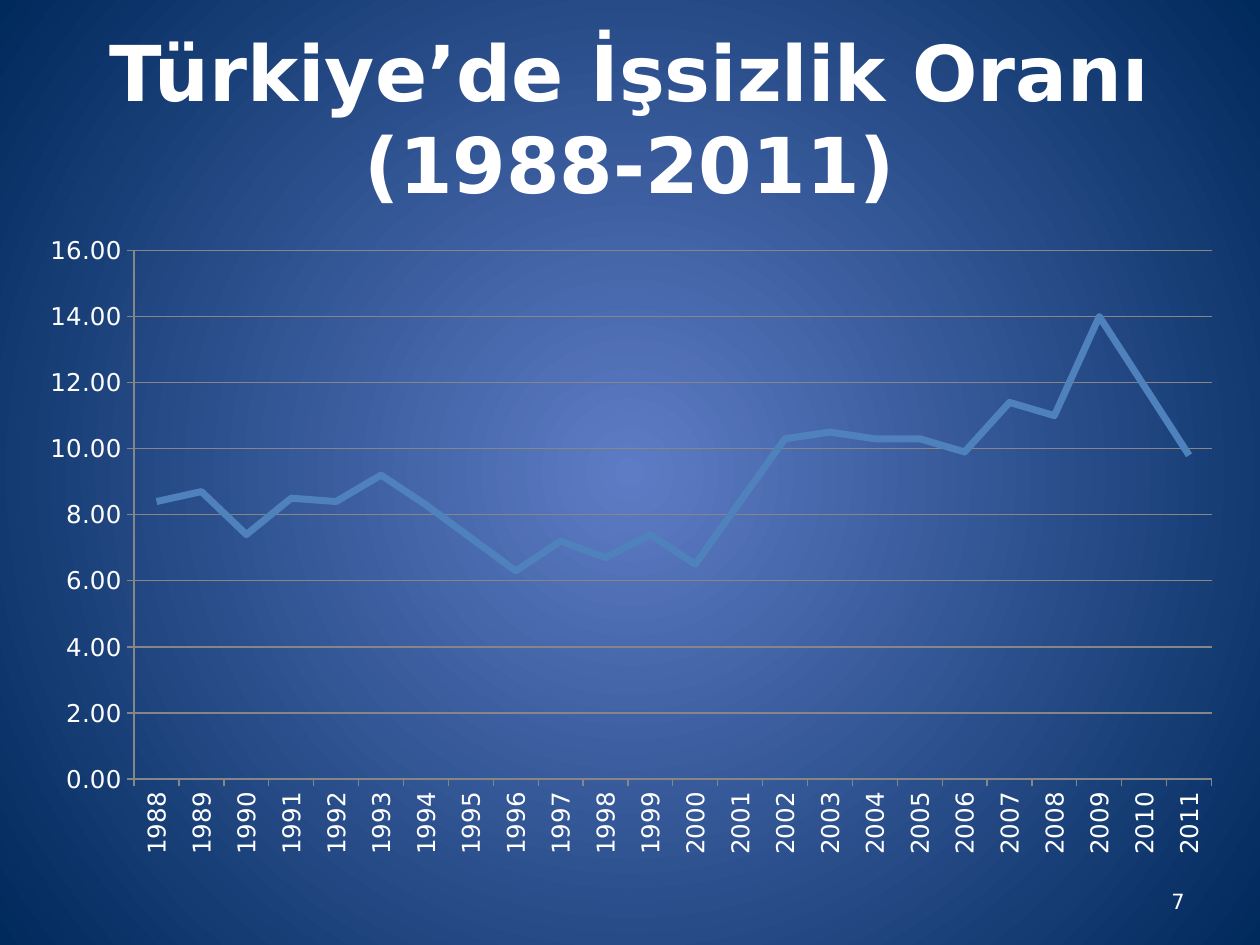
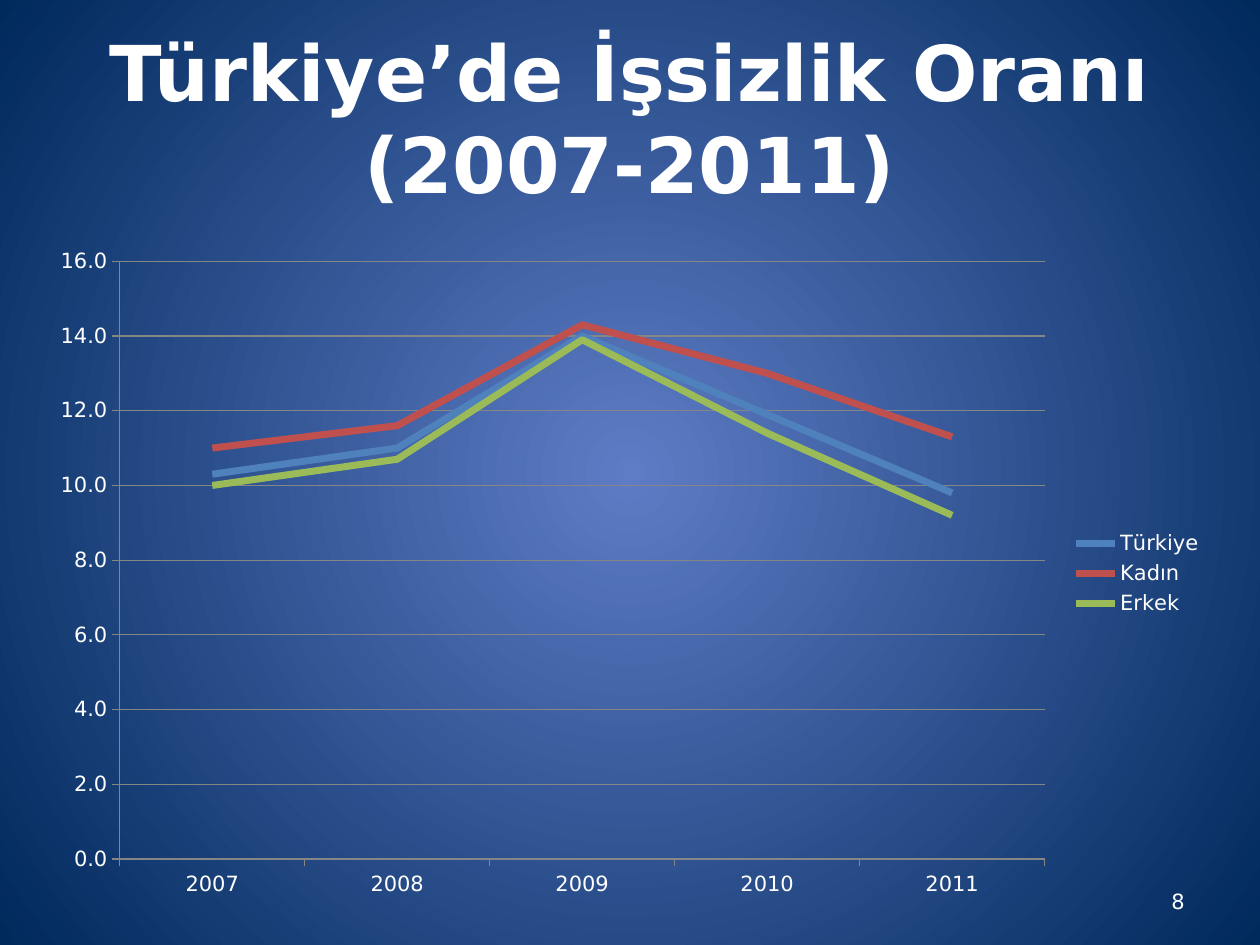
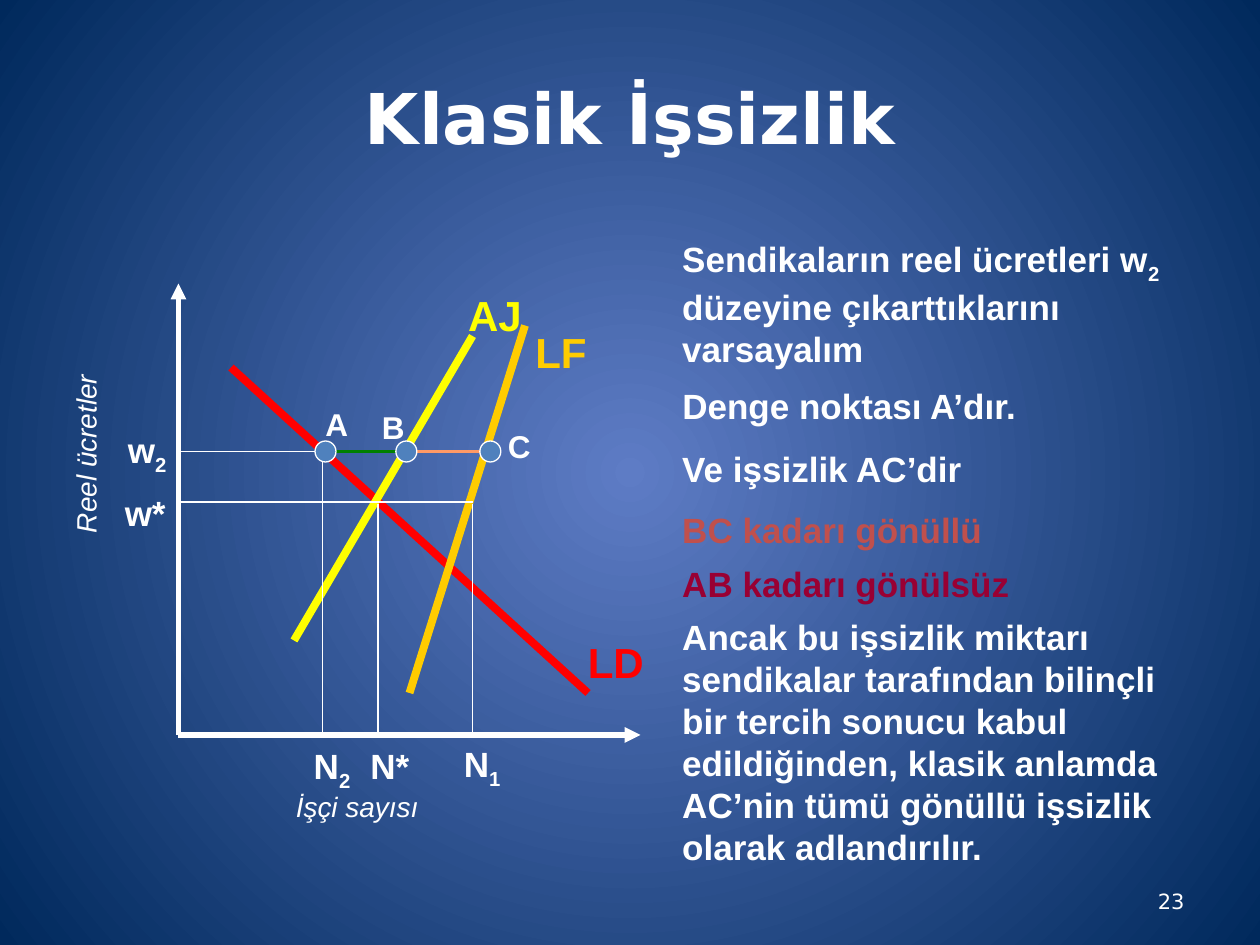
from lxml import etree
from pptx import Presentation
from pptx import util as u
from pptx.chart.data import CategoryChartData
from pptx.dml.color import RGBColor
from pptx.enum import chart as charts, shapes, text
from pptx.oxml.ns import qn

COLORS = {
    "centre": "5E7CC5", "edge": "00295C", "white": "FFFFFF", "axis": "868686",
    "blue": "4F81BD", "brick": "C0504D", "olive": "9BBB59",
    "demand": "FF0000", "force": "FFCC00", "accepted": "FFFF00",
    "involuntary": "008000", "voluntary": "FF9966", "maroon": "990033",
}
HEADING_FONT, BODY_FONT = "DejaVu Sans", "Arial"
COLUMNS, ROWS = 120, 90  # grid of the slide
WIDTH, HEIGHT = u.Inches(10), u.Inches(7.5)
TITLE_BOX = (6, 3.6, 108, 15)
NUMBER_BOX = (86, 83.4, 28, 4.8)


def color(name):
    return RGBColor.from_string(COLORS[name])


def across(columns):
    return round(WIDTH * columns / COLUMNS)


def down(rows):
    return round(HEIGHT * rows / ROWS)


def place(box):
    left, top, width, height = box
    return across(left), down(top), across(width), down(height)


def paint_background(master):
    fill = master.background.fill
    fill.gradient()
    for stop, name in zip(fill.gradient_stops, ("centre", "edge")):
        stop.color.rgb = color(name)
    gradient = next(master.element.iter(qn("a:gradFill")))
    gradient.remove(gradient.find(qn("a:lin")))
    circle = etree.SubElement(gradient, qn("a:path"), {"path": "circle"})
    etree.SubElement(circle, qn("a:fillToRect"), dict.fromkeys("ltrb", "50000"))


def add_run(paragraph, words, size, name="white", font=BODY_FONT,
            bold=True, italic=False):
    run = paragraph.add_run()
    run.text = words
    run.font.size, run.font.name = u.Pt(size), font
    run.font.bold, run.font.italic = bold, italic
    run.font.color.rgb = color(name)
    return run


def add_heading_text(slide, box, lines, size, align, bold):
    """Middle-anchored text in the heading font, used by title and number."""
    frame = slide.shapes.add_textbox(*place(box)).text_frame
    frame.word_wrap = True
    frame.vertical_anchor = text.MSO_ANCHOR.MIDDLE
    paragraph = frame.paragraphs[0]
    paragraph.alignment = align
    for index, line in enumerate(lines):
        if index:
            paragraph.add_line_break()
        add_run(paragraph, line, size, font=HEADING_FONT, bold=bold)


def add_slide(presentation, title, title_size, number):
    slide = presentation.slides.add_slide(presentation.slide_layouts[6])
    add_heading_text(slide, TITLE_BOX, title, title_size, text.PP_ALIGN.CENTER, True)
    add_heading_text(slide, NUMBER_BOX, [str(number)], 12, text.PP_ALIGN.RIGHT, False)
    return slide


def add_label(slide, box, lines, size=20, name="white", wrap=False, italic=False):
    """Text box whose lines may hold a subscript after an underscore."""
    shape = slide.shapes.add_textbox(*place(box))
    frame = shape.text_frame
    frame.word_wrap = wrap
    frame.auto_size = text.MSO_AUTO_SIZE.SHAPE_TO_FIT_TEXT
    for index, line in enumerate(lines):
        paragraph = frame.add_paragraph() if index else frame.paragraphs[0]
        base, _, subscript = line.partition("_")
        add_run(paragraph, base, size, name, bold=not italic, italic=italic)
        if subscript:
            run = add_run(paragraph, subscript, size, name)
            run.font._element.set("baseline", "-25000")
    return shape


def set_layout(holder, index, settings):
    """Fix a chart part's place; index is where its layout element belongs."""
    layout = holder.find(qn("c:layout"))
    if layout is None:
        layout = etree.Element(qn("c:layout"))
        holder.insert(index, layout)
    manual = etree.SubElement(layout, qn("c:manualLayout"))
    for tag, value in settings.items():
        etree.SubElement(manual, qn(f"c:{tag}"), val=str(value))


def add_rate_chart(slide, box, years, series, size, number_format, plot_shares,
                   upright_years=False):
    data = CategoryChartData()
    data.categories = [str(year) for year in years]
    for series_name, _, values in series:
        data.add_series(series_name, values)
    chart = slide.shapes.add_chart(
        charts.XL_CHART_TYPE.LINE, *place(box), data).chart
    chart.has_title = False
    chart.font.size, chart.font.name = u.Pt(size), HEADING_FONT
    chart.font.color.rgb = color("white")
    chart.plots[0].vary_by_categories = False
    for line, (_, name, _) in zip(chart.plots[0].series, series):
        line.smooth = False
        line.marker.style = charts.XL_MARKER_STYLE.NONE
        line.format.line.width = u.Pt(4)
        line.format.line.color.rgb = color(name)

    value_axis, year_axis = chart.value_axis, chart.category_axis
    value_axis.minimum_scale, value_axis.maximum_scale = 0, 16
    value_axis.major_unit = 2
    value_axis.tick_labels.number_format = number_format
    value_axis.tick_labels.number_format_is_linked = False
    value_axis.has_major_gridlines = True
    for part in (value_axis, year_axis, value_axis.major_gridlines):
        part.format.line.width = u.Pt(0.75)
        part.format.line.color.rgb = color("axis")
    for axis in (value_axis, year_axis):
        axis.major_tick_mark = charts.XL_TICK_MARK.OUTSIDE
    if upright_years:
        year_axis.tick_labels.font.size = u.Pt(size)
        year_axis.tick_labels.font.color.rgb = color("white")
        body = next(year_axis._element.iter(qn("a:bodyPr")))
        body.set("rot", "-5400000")
        body.set("vert", "horz")

    edges = {"xMode": "edge", "yMode": "edge"}
    set_layout(chart.element.chart.plotArea, 0,
               {"layoutTarget": "inner", **edges, **dict(zip("xywh", plot_shares))})
    chart.has_legend = len(series) > 1
    if chart.has_legend:
        chart.legend.position = charts.XL_LEGEND_POSITION.RIGHT
        chart.legend.include_in_layout = False
        set_layout(next(chart.element.iter(qn("c:legend"))), 1,
                   {**edges, "x": 0.86, "y": 0.43})


def add_line(slide, start, end, name="white", width=0.75, arrow=False):
    connector = slide.shapes.add_connector(
        shapes.MSO_CONNECTOR.STRAIGHT,
        across(start[0]), down(start[1]), across(end[0]), down(end[1]))
    connector.line.width = u.Pt(width)
    connector.line.color.rgb = color(name)
    properties = connector.element.spPr
    if arrow:
        etree.SubElement(properties.find(qn("a:ln")), qn("a:tailEnd"), type="triangle")
    etree.SubElement(properties, qn("a:effectLst"))


def add_dot(slide, centre, diameter=2):
    x, y = centre
    dot = slide.shapes.add_shape(
        shapes.MSO_SHAPE.OVAL,
        *place((x - diameter / 2, y - diameter / 2, diameter, diameter)))
    dot.shadow.inherit = False
    dot.fill.solid()
    dot.fill.fore_color.rgb = color("blue")
    dot.line.width = u.Pt(0.75)
    dot.line.color.rgb = color("white")


def add_labour_market(slide, box):
    """Wage and employment diagram; box spans the two axes."""
    left, top, width, height = box
    union_wage, market_wage = 16, 20.8

    def point(x, y):
        return left + x, top + y

    def line(start, end, *style, **options):
        add_line(slide, point(*start), point(*end), *style, **options)

    line((0, union_wage), (30, union_wage))
    for end in ((width, height), (0, 0)):
        line((0, height), end, "white", 3, arrow=True)
    curves = [((5, 8), (39, 39), "demand"),
              ((22, 39), (33, 4), "force"),
              ((11, 34), (28, 5), "accepted")]
    for start, end, name in curves:
        line(start, end, name, 4.5)
    line((0, market_wage), (28, market_wage))
    for employment, wage in ((19, 21), (28, 21), (13.7, union_wage)):
        line((employment, wage), (employment, height))
    line((14, union_wage), (22, union_wage), "involuntary", 2.25)
    line((22, union_wage), (30, union_wage), "voluntary", 2.25)
    for x in (14, 21.7, 29.7):
        add_dot(slide, point(x, union_wage))

    labels = [
        ("w_2", -6, 13.2, 6.5, 20, "white"), ("w*", -6.3, 19.2, 6.8, 20, "white"),
        ("N_2", 11.7, 43.3, 6.2, 20, "white"), ("N*", 17.1, 43.3, 6.4, 20, "white"),
        ("N_1", 26, 43.1, 6.2, 20, "white"),
        ("A", 12.8, 11, 4.8, 18, "white"), ("B", 18.2, 11.3, 4.8, 18, "white"),
        ("C", 30.2, 13.1, 4.8, 18, "white"),
        ("LD", 37.8, 33, 8, 24, "demand"), ("LF", 32.8, 3.5, 7.5, 24, "force"),
        ("AJ", 26.4, 0, 7.8, 24, "accepted"),
    ]
    for words, x, y, label_width, size, name in labels:
        label_box = (*point(x, y), label_width, 0.2 * size + 1.2)
        add_label(slide, label_box, [words], size, name)
    add_label(slide, (*point(10, 47.6), 14.2, 4.4), ["İşçi sayısı"], 16, italic=True)
    wage_title = add_label(slide, (*point(-17.6, 14), 17.5, 4.4),
                           ["Reel ücretler"], 16, italic=True)
    wage_title.rotation = 270


def add_explanation(slide, box):
    left, top, width, _ = box
    notes = [
        (0, width, "white",
         ["Sendikaların reel ücretleri w_2", "düzeyine çıkarttıklarını varsayalım"]),
        (14, 34.7, "white", ["Denge noktası A’dır."]),
        (20, 29.3, "white", ["Ve işsizlik AC’dir"]),
        (25.8, 31, "brick", ["BC kadarı gönüllü"]),
        (31, 33.6, "maroon", ["AB kadarı gönülsüz"]),
        (36, 48.2, "white",
         ["Ancak bu işsizlik miktarı", "sendikalar tarafından bilinçli",
          "bir tercih sonucu kabul", "edildiğinden, klasik anlamda",
          "AC’nin tümü gönüllü işsizlik", "olarak adlandırılır."]),
    ]
    for y, note_width, name, lines in notes:
        note_box = (left, top + y, note_width, 4 * len(lines) + 1.2)
        add_label(slide, note_box, lines, name=name, wrap=note_width == width)


def main():
    presentation = Presentation()
    presentation.slide_width, presentation.slide_height = WIDTH, HEIGHT
    paint_background(presentation.slide_master)

    heading = "Türkiye’de İşsizlik Oranı"
    slide = add_slide(presentation, [heading, "(1988-2011)"], 44, 7)
    rates = [8.4, 8.7, 7.4, 8.5, 8.4, 9.2, 8.3, 7.3, 6.3, 7.2, 6.7, 7.4,
             6.5, 8.4, 10.3, 10.5, 10.3, 10.3, 9.9, 11.4, 11, 14, 11.9, 9.8]
    add_rate_chart(slide, (2.4, 21.4, 115.3, 61.4), range(1988, 2012),
                   [("Series 1", "blue", rates)], 14, "0.00",
                   (0.09, 0.04, 0.89, 0.82), upright_years=True)

    slide = add_slide(presentation, [heading, "(2007-2011)"], 44, 8)
    by_sex = [("Türkiye", "blue", [10.3, 11, 14, 11.9, 9.8]),
              ("Kadın", "brick", [11, 11.6, 14.3, 13, 11.3]),
              ("Erkek", "olive", [10, 10.7, 13.9, 11.4, 9.2])]
    add_rate_chart(slide, (3.4, 22.3, 114.4, 64.7), range(2007, 2012),
                   by_sex, 12, "0.0", (0.07, 0.04, 0.77, 0.88))

    slide = add_slide(presentation, ["Klasik İşsizlik"], 40, 23)
    add_labour_market(slide, (17, 27, 44, 43))
    add_explanation(slide, (63.8, 22, 54, 61))

    presentation.save("out.pptx")


if __name__ == "__main__":
    main()
